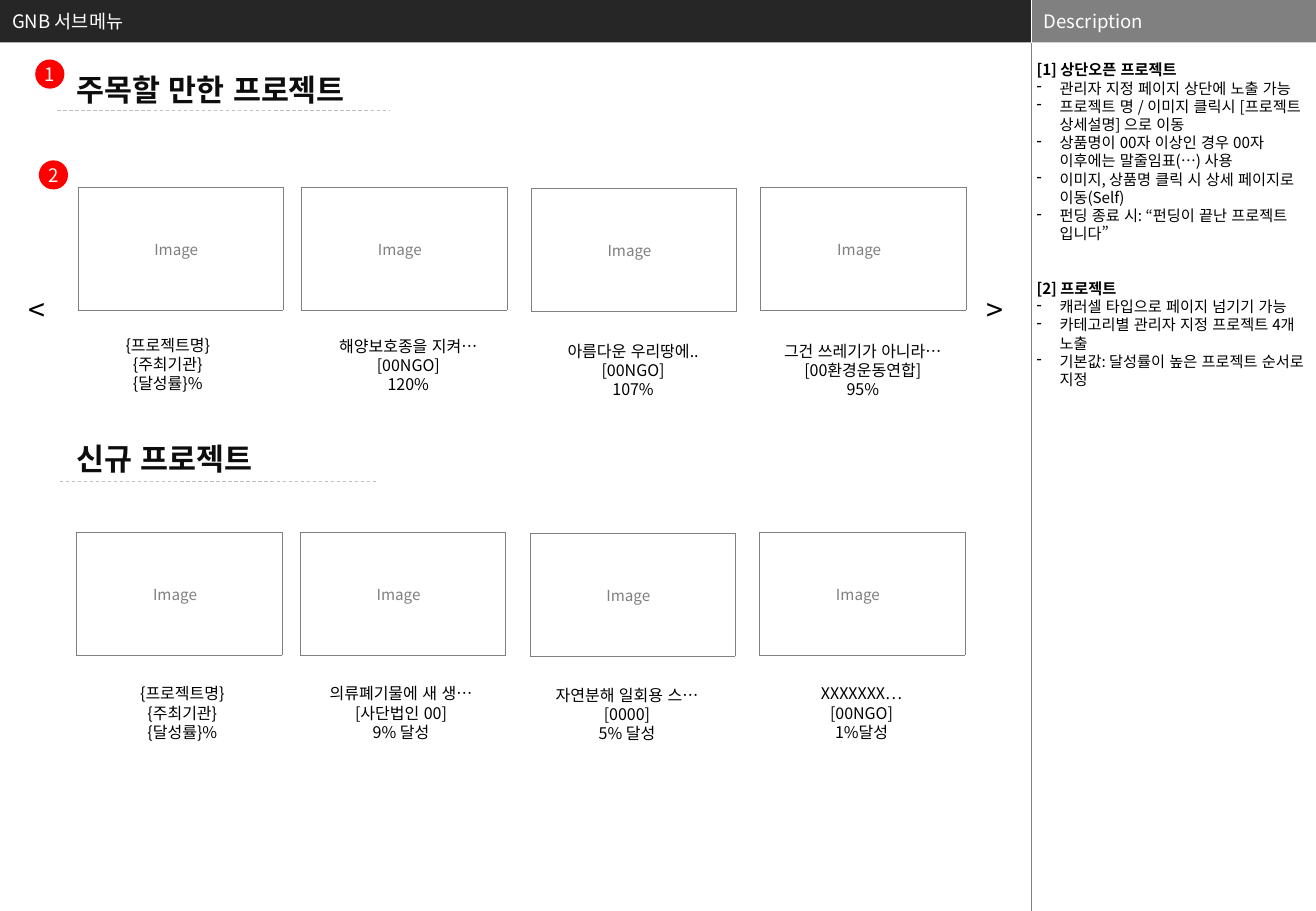
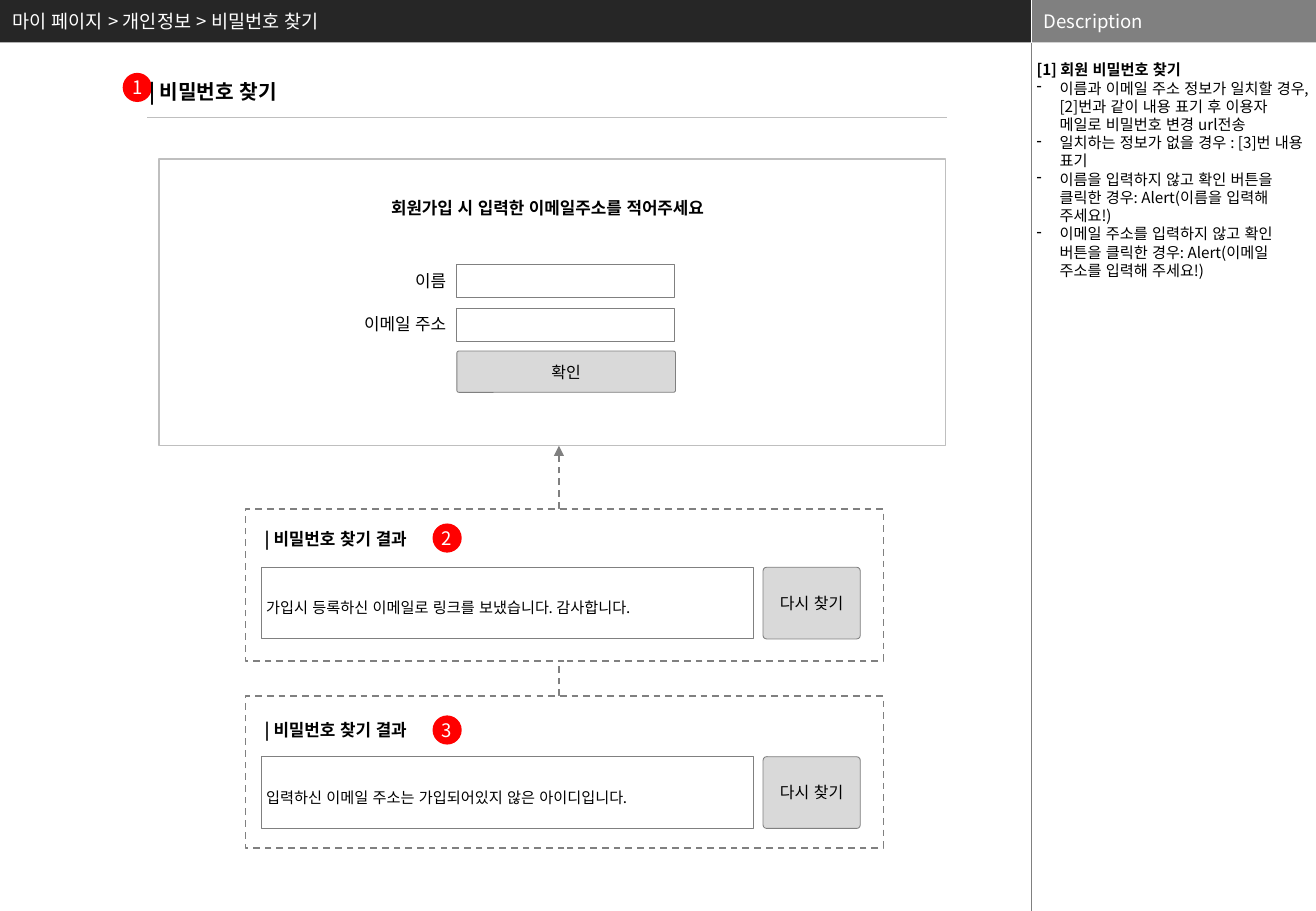
from dataclasses import dataclass

from lxml import etree
from pptx import Presentation
from pptx.dml.color import RGBColor
from pptx.enum.dml import MSO_LINE
from pptx.enum.lang import MSO_LANGUAGE_ID
from pptx.enum.shapes import MSO_CONNECTOR, MSO_SHAPE
from pptx.enum.text import MSO_ANCHOR, MSO_AUTO_SIZE, PP_ALIGN
from pptx.oxml.ns import qn
from pptx.util import Inches, Pt

RECT, ROUND, OVAL = MSO_SHAPE.RECTANGLE, MSO_SHAPE.ROUNDED_RECTANGLE, MSO_SHAPE.OVAL
LEFT, CENTER, RIGHT = PP_ALIGN.LEFT, PP_ALIGN.CENTER, PP_ALIGN.RIGHT
TOP, MIDDLE = MSO_ANCHOR.TOP, MSO_ANCHOR.MIDDLE
STRAIGHT, DASH, KOREAN = MSO_CONNECTOR.STRAIGHT, MSO_LINE.DASH, MSO_LANGUAGE_ID.KOREAN
NO_FIT = MSO_AUTO_SIZE.NONE


@dataclass(frozen=True)
class Theme:
    """Colours, type sizes and shared measures of the deck."""

    font: str = "Noto Sans CJK KR"
    band: str = "262626"
    gray: str = "808080"
    light: str = "BFBFBF"
    button: str = "D9D9D9"
    badge: str = "FF0000"
    white: str = "FFFFFF"
    black: str = "000000"
    ink: str = "0D0D0D"
    heading: float = 18
    subheading: float = 12
    bar: float = 11
    label: float = 10
    caption: float = 9.5
    note: float = 9
    leading: float = 1.2
    width: float = 10.83
    height: float = 7.5
    split: float = 8.49
    bar_height: float = 0.35


THEME = Theme()
CARD_OFFSETS = (0, 1.84, 3.73, 5.62)
CARD_DROPS = (0, 0, 0.01, 0)
CARD_WIDTH, CARD_HEIGHT = 1.69, 1.01


def rgb(color):
    """Turn a hex string into a colour."""
    return RGBColor.from_string(color)


def write(frame, lines, size, color=THEME.black, bold=False, align=LEFT,
          anchor=TOP, insets=(0.1, 0.05), spacing=1):
    """Write lines into a text frame in one style and return its paragraphs."""
    frame.word_wrap = True
    frame.auto_size = NO_FIT
    frame.vertical_anchor = anchor
    frame.margin_left = frame.margin_right = Inches(insets[0])
    frame.margin_top = frame.margin_bottom = Inches(insets[1])
    for index, line in enumerate(lines):
        para = frame.add_paragraph() if index else frame.paragraphs[0]
        para.alignment = align
        para.line_spacing = Pt(size * THEME.leading * spacing)
        para.space_before = Pt(0)
        span = para.add_run()
        span.text = line
        font = span.font
        font.size, font.bold = Pt(size), bold
        font.color.rgb = rgb(color)
        font.name, font.language_id = THEME.font, KOREAN
        etree.SubElement(font._element, qn("a:ea"), typeface=THEME.font)
    return frame.paragraphs


def add_text(page, box, lines, size, **style):
    """Add a text box."""
    frame = page.shapes.add_textbox(*map(Inches, box)).text_frame
    return write(frame, lines, size, **style)


def add_box(page, box, kind=RECT, fill=None, line=None, weight=0.5, dash=None):
    """Add a flat preset shape."""
    shape = page.shapes.add_shape(kind, *map(Inches, box))
    shape.shadow.inherit = False
    if fill:
        shape.fill.solid()
        shape.fill.fore_color.rgb = rgb(fill)
    else:
        shape.fill.background()
    if line:
        shape.line.color.rgb = rgb(line)
        shape.line.width = Pt(weight)
        shape.line.dash_style = dash
    else:
        shape.line.fill.background()
    return shape


def add_line(page, start, end, color, weight, dash=None, arrow=False):
    """Add a straight line, with an arrowhead at its end if asked."""
    line = page.shapes.add_connector(STRAIGHT, *map(Inches, (*start, *end)))
    line.line.color.rgb = rgb(color)
    line.line.width = Pt(weight)
    line.line.dash_style = dash
    if arrow:
        etree.SubElement(line.line._get_or_add_ln(), qn("a:tailEnd"), type="triangle")
    etree.SubElement(line._element.spPr, qn("a:effectLst"))


def add_badge(page, left, top, number):
    """Add a red numbered circle."""
    shape = add_box(page, (left, top, 0.24, 0.24), OVAL, THEME.badge)
    write(shape.text_frame, [number], THEME.bar, color=THEME.white,
          align=CENTER, anchor=MIDDLE, insets=(0, 0))


def add_button(page, box, label):
    """Add a grey button with slightly rounded corners."""
    shape = add_box(page, box, ROUND, THEME.button, THEME.gray)
    shape.adjustments[0] = 0.05
    write(shape.text_frame, [label], THEME.caption, align=CENTER,
          anchor=MIDDLE, insets=(0.05, 0.05))


def add_page(deck, title):
    """Add a title-only page with the top bar and the description column."""
    page = deck.slides.add_slide(deck.slide_layouts[5])
    bar = page.shapes.title
    bar.left, bar.top = Inches(0), Inches(0)
    bar.width, bar.height = Inches(THEME.split), Inches(THEME.bar_height)
    bar.fill.solid()
    bar.fill.fore_color.rgb = rgb(THEME.band)
    write(bar.text_frame, [title], THEME.bar, color=THEME.white, anchor=MIDDLE)
    side = THEME.width - THEME.split
    header = add_box(page, (THEME.split, 0, side, THEME.bar_height), fill=THEME.gray)
    write(header.text_frame, ["Description"], THEME.bar, color=THEME.white, anchor=MIDDLE)
    stops = (0, THEME.bar_height, THEME.height)
    for start, end, color in zip(stops, stops[1:], (THEME.white, THEME.gray)):
        add_line(page, (THEME.split, start), (THEME.split, end), color, 0.25)
    return page


def add_description(page, lines):
    """Fill the description column: bold numbered headings over dashed items."""
    box = (THEME.split, 0.5, THEME.width - THEME.split, 7)
    paras = add_text(page, box, lines, THEME.note, insets=(0.04, 0))
    for index, para in enumerate(paras):
        if para.text.startswith("["):
            para.runs[0].font.bold = True
            para.space_before = Pt(2 * THEME.leading * THEME.note if index else 0)
        else:
            props = para._p.get_or_add_pPr()
            props.set("marL", str(Inches(0.19)))
            props.set("indent", str(Inches(-0.19)))
            etree.SubElement(props, qn("a:buChar"), char="-")


def add_card(page, left, top):
    """Add a one-cell image frame with its label."""
    size = (left, top, CARD_WIDTH, CARD_HEIGHT)
    table = page.shapes.add_table(1, 1, *map(Inches, size)).table
    table.first_row = table.horz_banding = False
    cell = table.cell(0, 0)
    props = cell._tc.get_or_add_tcPr()
    for side in ("lnL", "lnR", "lnT", "lnB"):
        border = etree.SubElement(props, qn(f"a:{side}"), w=str(Pt(0.25)))
        paint = etree.SubElement(border, qn("a:solidFill"))
        etree.SubElement(paint, qn("a:srgbClr"), val=THEME.gray)
    cell.fill.background()
    label = add_box(page, (left + 0.63, top + 0.43, 0.43, 0.22), fill=THEME.white)
    write(label.text_frame, ["Image"], THEME.note, color=THEME.gray, insets=(0, 0.01))


def add_section(page, heading, heading_top, rule, left, top, captions):
    """Add a headed row of cards; each caption has a centre, a top and lines."""
    add_text(page, (0.53, heading_top, 3.96, 0.25), [heading], THEME.heading,
             color=THEME.ink, bold=True, anchor=MIDDLE)
    start, end, height = rule
    add_line(page, (start, height), (end, height), THEME.light, 0.5, DASH)
    for offset, drop, caption in zip(CARD_OFFSETS, CARD_DROPS, captions):
        add_card(page, left + offset, top + drop)
        center, caption_top, *lines = caption
        box = (center - CARD_WIDTH / 2, caption_top, CARD_WIDTH, 0.48)
        add_text(page, box, lines, THEME.caption, align=CENTER, insets=(0, 0))


def add_form(page, left, top):
    """Add the framed form that asks for a name and an address."""
    add_box(page, (left, top, 6.47, 2.36), line=THEME.light, weight=0.75)
    add_text(page, (left + 1.81, top + 0.27, 3.06, 0.27),
             ["회원가입 시 입력한 이메일주소를 적어주세요"], THEME.label, bold=True)
    field_left = left + 2.45
    for row, label in enumerate(("이름", "이메일 주소")):
        row_top = top + 0.87 + 0.36 * row
        add_box(page, (field_left, row_top, 1.79, 0.27), line=THEME.gray)
        add_text(page, (field_left - 1.19, row_top - 0.01 * row, 1.2, 0.27), [label],
                 THEME.label, align=RIGHT)
    add_button(page, (field_left, top + 1.58, 1.8, 0.34), "확인")


def add_result(page, left, top, heading_drop, field_drop, number, message):
    """Add a dashed result panel with its message and retry button."""
    add_box(page, (left, top, 5.25, 1.25), fill=THEME.white, line=THEME.gray,
            weight=1, dash=DASH)
    add_text(page, (left + 0.06, top + heading_drop, 1.51, 0.27),
             ["| 비밀번호 찾기 결과"], THEME.label, bold=True)
    add_badge(page, left + 1.54, top + heading_drop + 0.01, number)
    field = add_box(page, (left + 0.13, top + field_drop, 4.05, 0.59),
                    fill=THEME.white, line=THEME.gray)
    write(field.text_frame, [message], THEME.note, anchor=MIDDLE,
          insets=(0.04, 0.04), spacing=1.5)
    add_button(page, (left + 4.26, top + field_drop, 0.8, 0.59), "다시 찾기")


def build_projects(deck):
    """Build the project list page."""
    page = add_page(deck, "GNB 서브메뉴")
    sample = ("{프로젝트명}", "{주최기관}", "{달성률}%")
    add_section(page, "주목할 만한 프로젝트", 0.61, (0.47, 3.2, 0.91), 0.64, 1.54, (
        (1.38, 2.76, *sample),
        (3.36, 2.77, "해양보호종을 지켜…", "[00NGO]", "120%"),
        (5.21, 2.81, "아름다운 우리땅에..", "[00NGO]", "107%"),
        (7.1, 2.81, "그건 쓰레기가 아니라…", "[00환경운동연합]", "95%")))
    add_section(page, "신규 프로젝트", 3.65, (0.49, 3.11, 3.96), 0.63, 4.38, (
        (1.5, 5.63, *sample),
        (3.3, 5.63, "의류폐기물에 새 생…", "[사단법인 00]", "9% 달성"),
        (5.16, 5.64, "자연분해 일회용 스…", "[0000]", "5% 달성"),
        (7.09, 5.63, "XXXXXXX…", "[00NGO]", "1%달성")))
    for left, arrow in ((0.14, "<"), (8.02, ">")):
        add_text(page, (left, 2.35, 0.54, 0.59), [arrow], THEME.heading)
    add_badge(page, 0.29, 0.49, "1")
    add_badge(page, 0.32, 1.32, "2")
    add_description(page, (
        "[1] 상단오픈 프로젝트",
        "관리자 지정 페이지 상단에 노출 가능",
        "프로젝트 명 / 이미지 클릭시 [프로젝트 상세설명] 으로 이동",
        "상품명이 00자 이상인 경우 00자 이후에는 말줄임표(…) 사용",
        "이미지, 상품명 클릭 시 상세 페이지로 이동(Self)",
        "펀딩 종료 시: “펀딩이 끝난 프로젝트 입니다”",
        "[2] 프로젝트",
        "캐러셀 타입으로 페이지 넘기기 가능",
        "카테고리별 관리자 지정 프로젝트 4개 노출",
        "기본값: 달성률이 높은 프로젝트 순서로 지정"))


def build_password(deck):
    """Build the password recovery page."""
    page = add_page(deck, "마이 페이지 > 개인정보 > 비밀번호 찾기")
    add_badge(page, 1.01, 0.6, "1")
    add_text(page, (1.13, 0.6, 2.76, 0.3), ["| 비밀번호 찾기"], THEME.subheading, bold=True)
    add_line(page, (1.21, 0.97), (7.79, 0.97), THEME.light, 0.75)
    add_form(page, 1.31, 1.31)
    add_line(page, (4.6, 5.73), (4.6, 3.67), THEME.gray, 1, DASH, arrow=True)
    add_result(page, 2.02, 4.19, 0.11, 0.48, "2",
               "가입시 등록하신 이메일로 링크를 보냈습니다. 감사합니다.")
    add_result(page, 2.02, 5.73, 0.15, 0.5, "3",
               "입력하신 이메일 주소는 가입되어있지 않은 아이디입니다.")
    add_description(page, (
        "[1] 회원 비밀번호 찾기",
        "이름과 이메일 주소 정보가 일치할 경우, [2]번과 같이 내용 표기 후 이용자 메일로 비밀번호 변경 url전송",
        "일치하는 정보가 없을 경우 : [3]번 내용 표기",
        "이름을 입력하지 않고 확인 버튼을 클릭한 경우: Alert(이름을 입력해 주세요!)",
        "이메일 주소를 입력하지 않고 확인 버튼을 클릭한 경우: Alert(이메일 주소를 입력해 주세요!)"))


def main():
    """Build and save the deck."""
    deck = Presentation()
    deck.slide_width, deck.slide_height = Inches(THEME.width), Inches(THEME.height)
    build_projects(deck)
    build_password(deck)
    deck.save("out.pptx")


if __name__ == "__main__":
    main()
